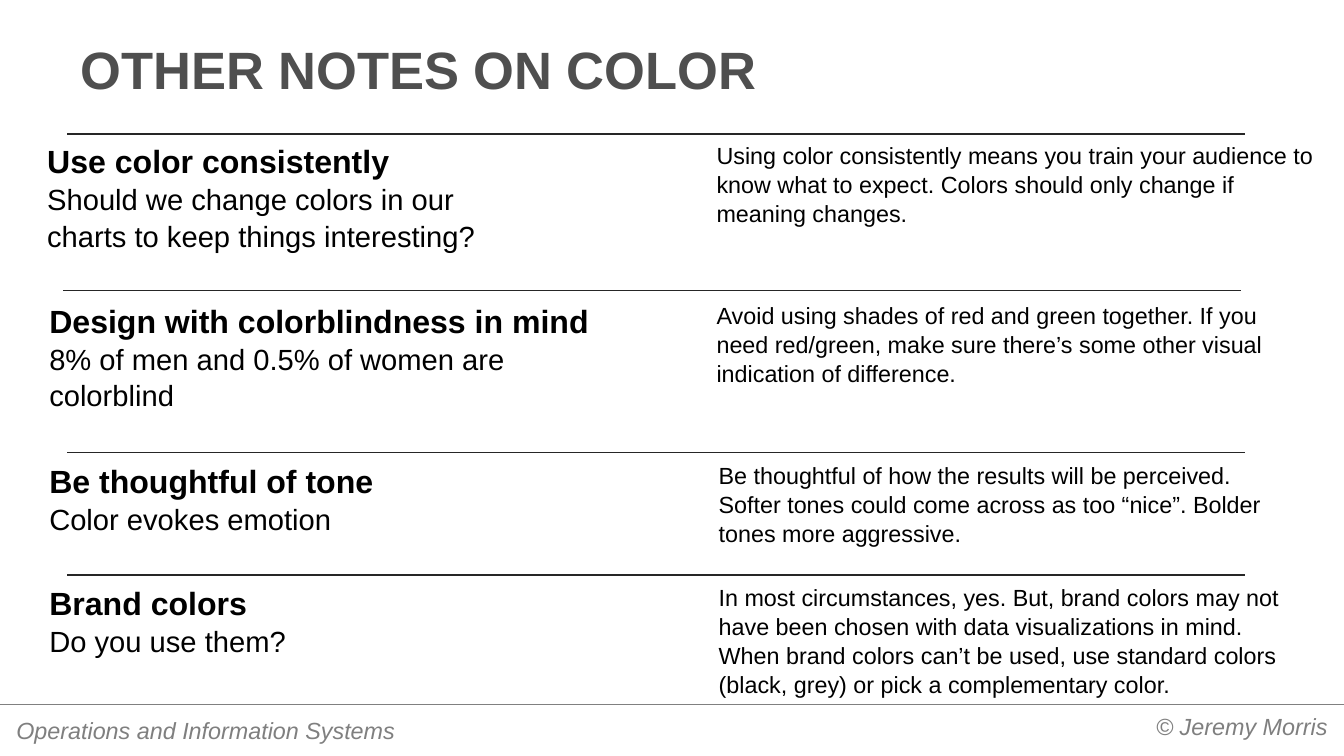
from lxml import etree
from pptx import Presentation
from pptx import util as u
from pptx.dml.color import RGBColor
from pptx.enum import shapes, text
from pptx.oxml.ns import qn

NOTES = [
    (2.62, 0.8, 9, 2.19, 13.55, 11.78, 1.72, "Use color consistently",
     "Should we change colors in our charts to keep things interesting?",
     "Using color consistently means you train your audience to know what to expect. "
     "Colors should only change if meaning changes."),
    (5.66, 0.84, 10.83, 2.19, 13.55, 11.21, 1.72, "Design with colorblindness in mind",
     "8% of men and 0.5% of women are colorblind",
     "Avoid using shades of red and green together. If you need red/green, "
     "make sure there’s some other visual indication of difference."),
    (8.71, 0.84, 10.83, 1.51, 13.59, 11.21, 1.72, "Be thoughtful of tone",
     "Color evokes emotion",
     "Be thoughtful of how the results will be perceived. Softer tones could come "
     "across as too “nice”. Bolder tones more aggressive."),
    (11.03, 0.84, 10.83, 1.51, 13.59, 11.21, 2.26, "Brand colors",
     "Do you use them?",
     "In most circumstances, yes. But, brand colors may not have been chosen with data "
     "visualizations in mind. When brand colors can’t be used, use standard colors "
     "(black, grey) or pick a complementary color."),
]
RULES = [(1.28, 2.55), (1.2, 5.53), (1.28, 8.62), (1.28, 10.95)]


def color(code):
    return RGBColor.from_string(code)


class Deck:
    face = "Arial"
    ink = "000000"
    dark = "262626"
    gray = "7F7F7F"
    head = "4F4F4F"

    def __init__(self, wide, high):
        self.prs = Presentation()
        self.prs.slide_width = u.Inches(wide)
        self.prs.slide_height = u.Inches(high)
        self.slide = self.prs.slides.add_slide(self.prs.slide_layouts[5])

    def style(self, par, size, hue, bold=False, slant=False):
        for run in par.runs:
            font = run.font
            font.name, font.size = self.face, u.Pt(size)
            font.bold, font.italic = bold, slant
            font.color.rgb = color(hue)

    def inset(self, frame, side, edge):
        frame.margin_left = frame.margin_right = u.Inches(side)
        frame.margin_top = frame.margin_bottom = u.Inches(edge)

    def title(self, words, *box):
        shape = self.slide.shapes.title
        shape.left, shape.top, shape.width, shape.height = map(u.Inches, box)
        frame = shape.text_frame
        frame.text = words
        frame.vertical_anchor = text.MSO_ANCHOR.BOTTOM
        frame.auto_size = text.MSO_AUTO_SIZE.NONE
        self.inset(frame, 0.25, 0.12)
        par = frame.paragraphs[0]
        par.alignment = text.PP_ALIGN.LEFT
        self.style(par, 72, self.head, bold=True)

    def frame(self, words, *box):
        frame = self.slide.shapes.add_textbox(*map(u.Inches, box)).text_frame
        frame.word_wrap = True
        frame.auto_size = text.MSO_AUTO_SIZE.SHAPE_TO_FIT_TEXT
        frame.text = words
        return frame

    def body(self, lines, sizes, *box):
        frame = self.frame("\n".join(lines), *box)
        for par, size in zip(frame.paragraphs, sizes):
            par.line_spacing = 1.04
            self.style(par, size, self.ink, bold=size == 44)

    def footer(self, words, align, *box):
        frame = self.frame(words, *box)
        self.inset(frame, 0.18, 0.09)
        par = frame.paragraphs[0]
        par.alignment = align
        self.style(par, 32, self.gray, slant=True)

    def rule(self, left, top, width, hue, weight):
        line = self.slide.shapes.add_connector(
            shapes.MSO_CONNECTOR.STRAIGHT,
            *map(u.Inches, (left, top, left + width, top)))
        line.line.color.rgb = color(hue)
        line.line.width = u.Pt(weight)
        etree.SubElement(line._element.spPr, qn("a:effectLst"))


def main():
    deck = Deck(25.6, 14.4)
    deck.rule(0, 13.41, 25.6, "808080", 0.75)
    deck.footer("© Jeremy Morris", text.PP_ALIGN.RIGHT, 14.58, 13.48, 10.89, 0.72)
    deck.footer("Operations and Information Systems", text.PP_ALIGN.LEFT,
                0.13, 13.56, 8.75, 0.72)
    deck.title("OTHER NOTES ON COLOR", 1.28, 0.53, 23.04, 1.49)
    for top, left, width, high, right, span, tall, name, ask, advice in NOTES:
        deck.body([name, ask], [44, 40], left, top, width, high)
        deck.body([advice], [32], right, top, span, tall)
    for left, top in RULES:
        deck.rule(left, top, 22.44, deck.dark, 2)
    deck.prs.save("out.pptx")


if __name__ == "__main__":
    main()
